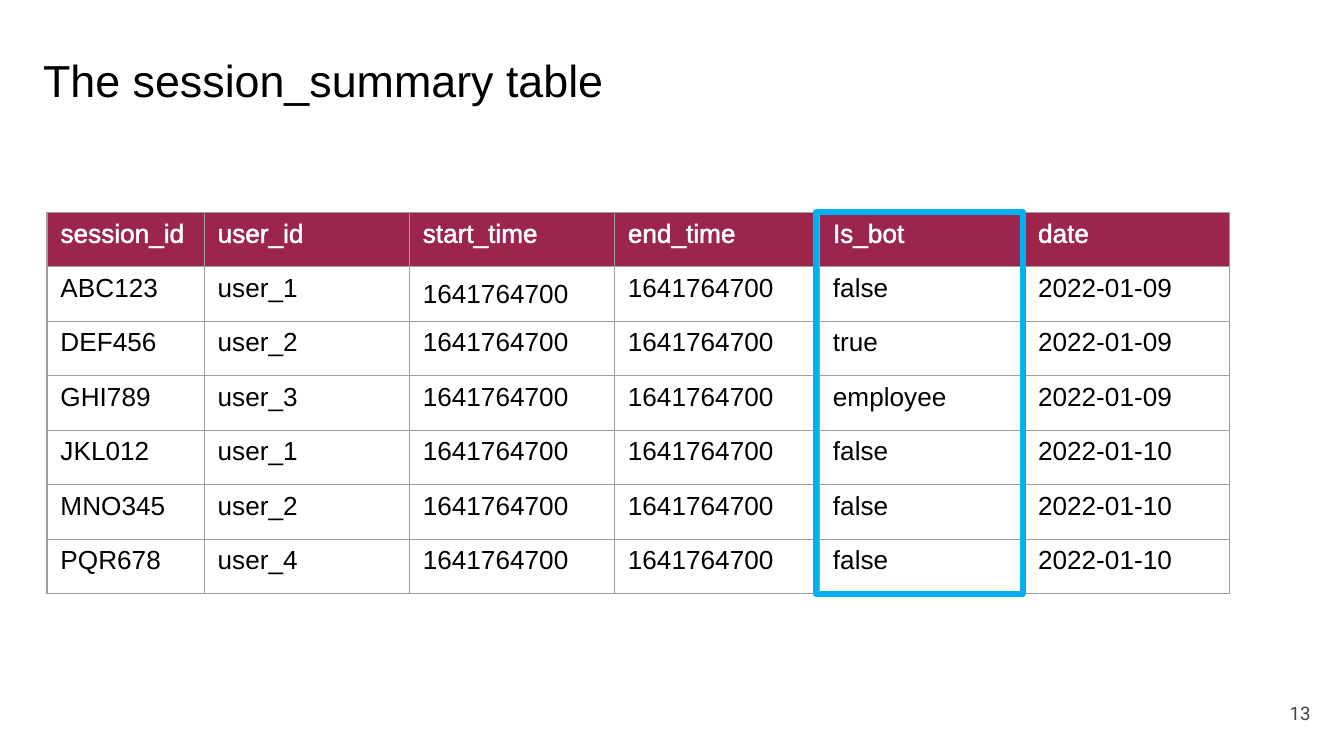
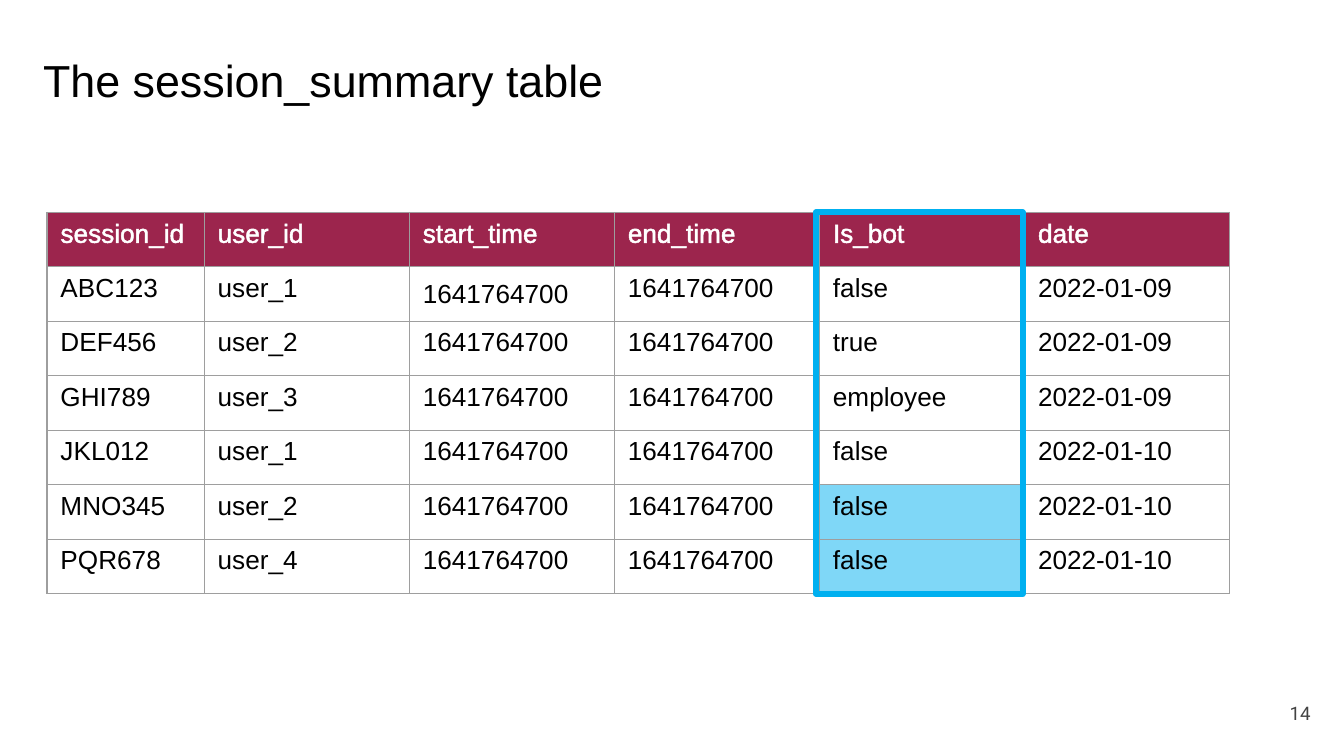
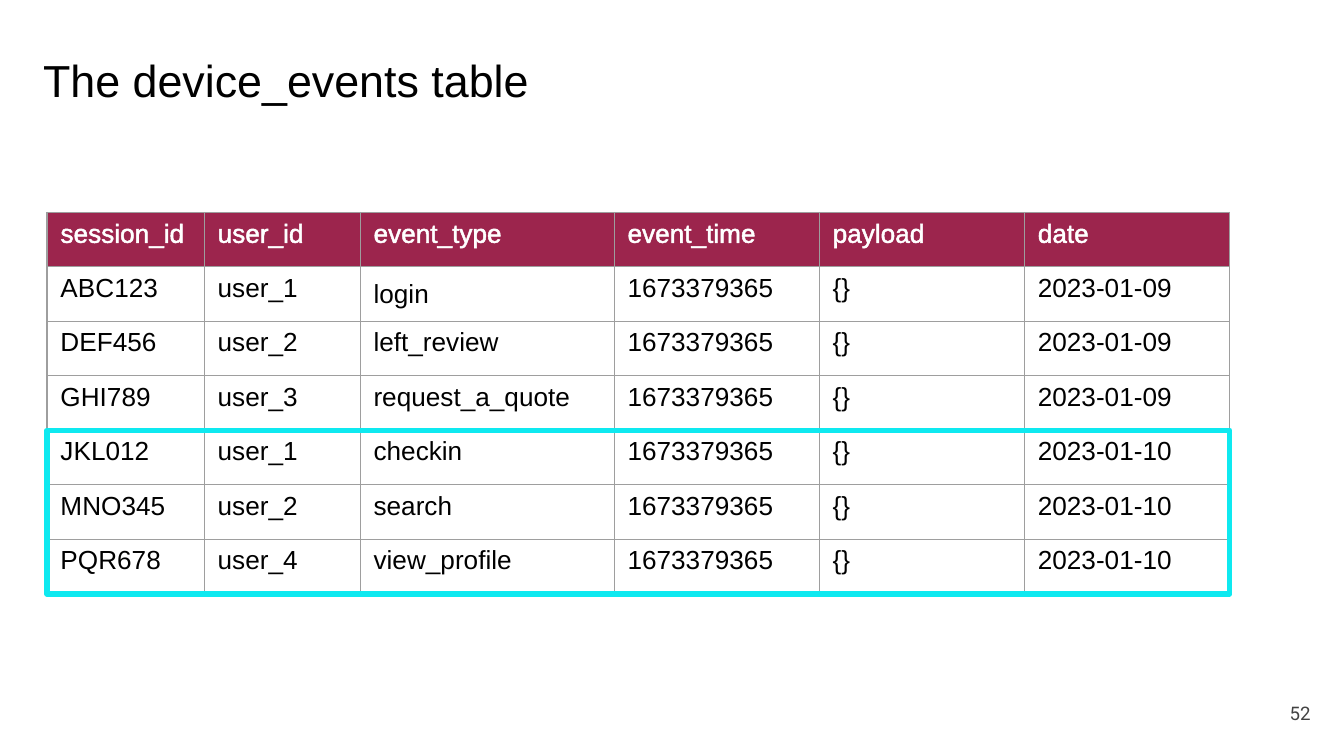
from lxml import etree
from pptx import Presentation
from pptx.dml.color import RGBColor
from pptx.enum.shapes import MSO_SHAPE as Shape
from pptx.enum.text import MSO_ANCHOR as Anchor, MSO_AUTO_SIZE as AutoSize, PP_ALIGN as Align
from pptx.oxml.ns import qn
from pptx.util import Inches, Pt

# Content
SESSION_HEAD = ["session_id", "user_id", "start_time", "end_time", "Is_bot", "date"]
SESSION_TIME = "1641764700"
SESSIONS = [(session, user, SESSION_TIME, SESSION_TIME, is_bot, date)
            for session, user, is_bot, date in [
    ("ABC123", "user_1", "false", "2022-01-09"),
    ("DEF456", "user_2", "true", "2022-01-09"),
    ("GHI789", "user_3", "employee", "2022-01-09"),
    ("JKL012", "user_1", "false", "2022-01-10"),
    ("MNO345", "user_2", "false", "2022-01-10"),
    ("PQR678", "user_4", "false", "2022-01-10"),
]]
EVENT_HEAD = ["session_id", "user_id", "event_type", "event_time", "payload", "date"]
EVENTS = [(session, user, event, "1673379365", "{}", date)
          for session, user, event, date in [
    ("ABC123", "user_1", "login", "2023-01-09"),
    ("DEF456", "user_2", "left_review", "2023-01-09"),
    ("GHI789", "user_3", "request_a_quote", "2023-01-09"),
    ("JKL012", "user_1", "checkin", "2023-01-10"),
    ("MNO345", "user_2", "search", "2023-01-10"),
    ("PQR678", "user_4", "view_profile", "2023-01-10"),
]]

# Shared look
BERRY, GRID, BLUE, CYAN = "9C254D", "9E9E9E", "00B0F0", "0EE9F0"
BLACK, WHITE, GREY = "000000", "FFFFFF", "434343"
SLIDE_WIDTH = 10
SLIDE_HEIGHT = SLIDE_WIDTH * 9 / 16
LEFT, TOP, WIDTH, HEIGHT = 0.35, 1.58, 8.8, 2.84
ROW = HEIGHT / 7

# "widths" holds the leading columns; the others share what is left
SESSION_SLIDE = dict(title="The session_summary table", title_width=4.41,
                     head=SESSION_HEAD, rows=SESSIONS, widths=[1.17], tinted=[],
                     frame=(6.07, TOP, 1.54, HEIGHT), frame_color=BLUE)
SLIDES = [
    dict(SESSION_SLIDE, number="13"),
    dict(SESSION_SLIDE, number="14", tinted=[(5, 4), (6, 4)]),
    dict(title="The device_events table", title_width=3.85, number="52",
         head=EVENT_HEAD, rows=EVENTS, widths=[1.17, 1.16, 1.89], tinted=[],
         frame=(LEFT, TOP + 4 * ROW, WIDTH, 3 * ROW), frame_color=CYAN),
]


def rgb(color):
    return RGBColor.from_string(color)


def style(paragraph, size, color, face="Arial"):
    font = paragraph.font
    font.size, font.name, font.bold = Pt(size), face, False
    font.color.rgb = rgb(color)


def add_line(parent, tag, color, points):
    line = etree.SubElement(parent, qn(tag), w=str(Pt(points)))
    fill = etree.SubElement(line, qn("a:solidFill"))
    etree.SubElement(fill, qn("a:srgbClr"), val=color)


def add_title(slide, text, width):
    title = slide.shapes.title
    title.left, title.top = Inches(0.22), Inches(0.34)
    title.width, title.height = Inches(width), Inches(0.5)
    frame = title.text_frame
    frame.text = text
    frame.word_wrap, frame.auto_size = False, AutoSize.SHAPE_TO_FIT_TEXT
    frame.vertical_anchor = Anchor.TOP
    frame.paragraphs[0].alignment = Align.LEFT
    style(frame.paragraphs[0], 24, BLACK)


def add_number(slide, number):
    box = slide.shapes.add_textbox(Inches(9.25), Inches(5.09), Inches(0.6), Inches(0.43))
    frame = box.text_frame
    frame.margin_left = frame.margin_right = Inches(0.1)
    frame.margin_top = frame.margin_bottom = Inches(0.1)
    frame.word_wrap, frame.vertical_anchor = True, Anchor.MIDDLE
    frame.text = number
    frame.paragraphs[0].alignment = Align.RIGHT
    style(frame.paragraphs[0], 10, GREY, "Roboto")


def fill_cell(cell, text, is_head, is_tinted):
    cell.text = text
    paragraph = cell.text_frame.paragraphs[0]
    style(paragraph, 14, WHITE if is_head else BLACK)
    for side in ("a:lnL", "a:lnR", "a:lnT", "a:lnB"):
        add_line(cell._tc.get_or_add_tcPr(), side, GRID, 0.75)
    if is_head:
        cell.fill.solid()
        cell.fill.fore_color.rgb = rgb(BERRY)
        add_line(paragraph.runs[0]._r.get_or_add_rPr(), "a:ln", WHITE, 0.75)
    elif is_tinted:
        cell.fill.solid()
        cell.fill.fore_color.rgb = rgb(BLUE)
        tint = cell._tc.tcPr.find(qn("a:solidFill")).find(qn("a:srgbClr"))
        etree.SubElement(tint, qn("a:alpha"), val="50000")
    else:
        cell.fill.background()


def add_records(slide, head, rows, widths, tinted):
    records = [head, *rows]
    table = slide.shapes.add_table(len(records), len(head), Inches(LEFT), Inches(TOP),
                                   Inches(WIDTH), Inches(HEIGHT)).table
    table.first_row = table.horz_banding = False
    shared = (WIDTH - sum(widths)) / (len(head) - len(widths))
    for c, column in enumerate(table.columns):
        column.width = Inches(widths[c] if c < len(widths) else shared)
    for r, record in enumerate(records):
        table.rows[r].height = Inches(ROW)
        for c, text in enumerate(record):
            fill_cell(table.cell(r, c), text, r == 0, (r, c) in tinted)
    table.cell(1, 2).vertical_anchor = Anchor.MIDDLE


def add_frame(slide, place, color):
    frame = slide.shapes.add_shape(Shape.RECTANGLE, *map(Inches, place))
    frame.shadow.inherit = False
    frame.fill.background()
    frame.line.color.rgb, frame.line.width = rgb(color), Pt(3)


def main():
    deck = Presentation()
    deck.slide_width, deck.slide_height = Inches(SLIDE_WIDTH), Inches(SLIDE_HEIGHT)
    for page in SLIDES:
        slide = deck.slides.add_slide(deck.slide_layouts[5])
        add_number(slide, page["number"])
        add_records(slide, page["head"], page["rows"], page["widths"], page["tinted"])
        add_title(slide, page["title"], page["title_width"])
        add_frame(slide, page["frame"], page["frame_color"])
    deck.save("out.pptx")


if __name__ == "__main__":
    main()
